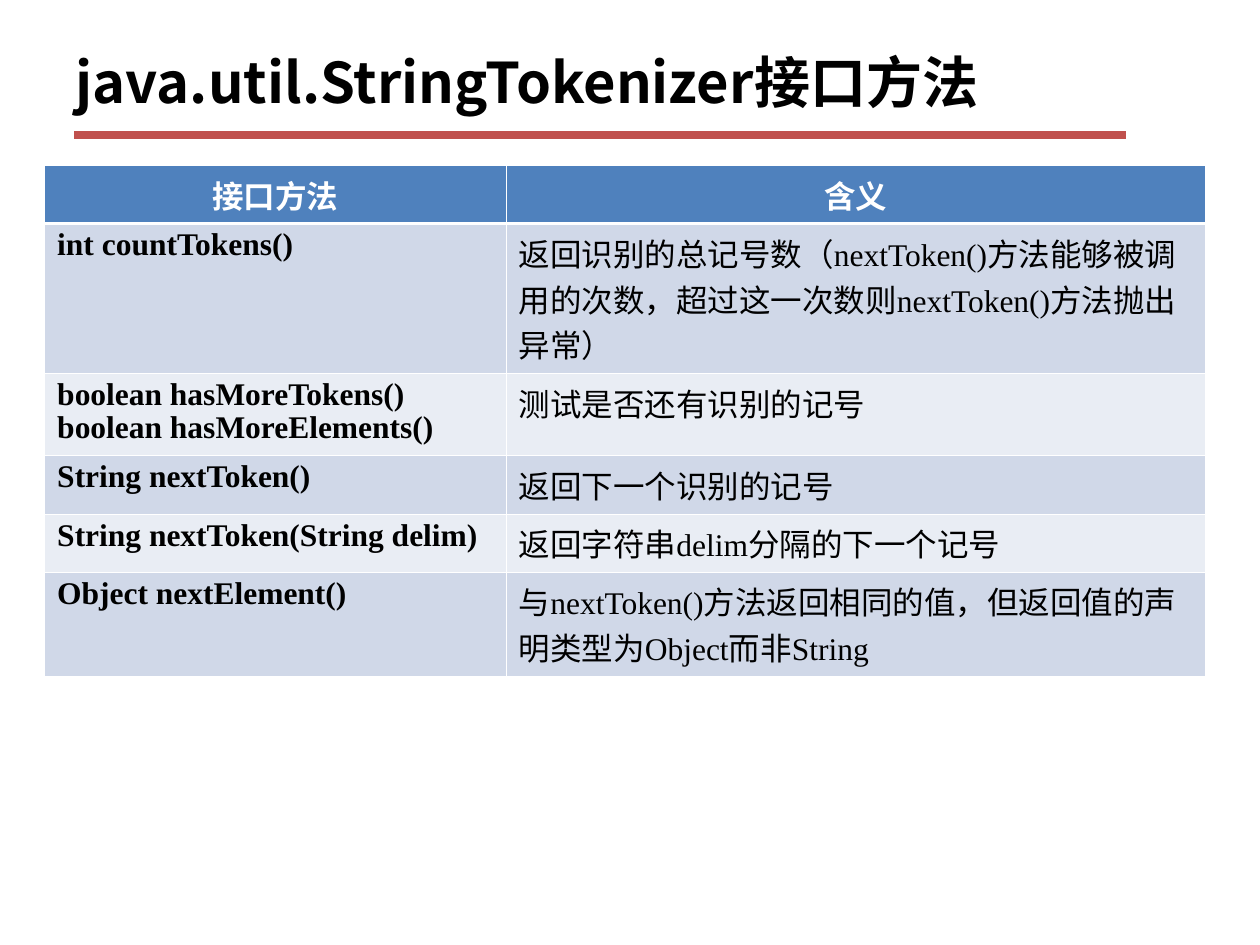
from lxml import etree
from pptx import Presentation
from pptx import util as u
from pptx.dml.color import RGBColor
from pptx.enum import shapes, text
from pptx.oxml import ns

BLACK, WHITE, RED, BLUE = "000000", "FFFFFF", "C0504D", "4F81BD"
BANDS = ("D0D8E8", "E9EDF4")
CJK_FONT, LATIN_FONT = "Noto Sans CJK SC", "Times New Roman"

HEADER = ("接口方法", "含义")
METHODS = [
    ("int countTokens()",
     "返回识别的总记号数（nextToken()方法能够被调用的次数，超过这一次数则nextToken()方法抛出异常）"),
    ("boolean hasMoreTokens()\nboolean hasMoreElements()", "测试是否还有识别的记号"),
    ("String nextToken()", "返回下一个识别的记号"),
    ("String nextToken(String delim)", "返回字符串delim分隔的下一个记号"),
    ("Object nextElement()",
     "与nextToken()方法返回相同的值，但返回值的声明类型为Object而非String"),
]
COLUMN_WIDTHS = (263.8, 399.3)
ROW_HEIGHTS = (33, 85.6, 47, 33.2, 33.2, 59)


def color(value):
    return RGBColor.from_string(value)


def write_text(frame, content, *, size, font=LATIN_FONT, fill=BLACK, bold=False,
               align=text.PP_ALIGN.LEFT, spacing=1.0):
    """Write one paragraph for each line of content."""
    for index, line in enumerate(content.split("\n")):
        paragraph = frame.add_paragraph() if index else frame.paragraphs[0]
        paragraph.alignment = align
        paragraph.line_spacing = spacing
        run = paragraph.add_run()
        run.text = line
        run.font.size = u.Pt(size)
        run.font.bold = bold
        run.font.color.rgb = color(fill)
        run.font.name = font
        properties = run._r.get_or_add_rPr()
        etree.SubElement(properties, ns.qn("a:ea"), typeface=CJK_FONT)


class SlideBuilder:
    """Holds the text sizes and the current slide."""
    title_size = 32
    table_size = 18
    thin, thick = 0.45, 1.47

    def __init__(self, slide):
        self.slide = slide

    def title(self, content, left, top, width, height):
        shape = self.slide.shapes.title
        shape.left, shape.top = u.Pt(left), u.Pt(top)
        shape.width, shape.height = u.Pt(width), u.Pt(height)
        shape.text_frame.vertical_anchor = text.MSO_ANCHOR.MIDDLE
        write_text(shape.text_frame, content, size=self.title_size,
                   font=CJK_FONT, bold=True)

    def rule(self, left, right, y, width, fill):
        line = self.slide.shapes.add_connector(
            shapes.MSO_CONNECTOR.STRAIGHT, u.Pt(left), u.Pt(y), u.Pt(right), u.Pt(y))
        line.line.width = u.Pt(width)
        line.line.color.rgb = color(fill)
        etree.SubElement(line._element.spPr, ns.qn("a:effectLst"))

    def borders(self, cell, top, bottom):
        properties = cell._tc.get_or_add_tcPr()
        sides = {"L": self.thin, "R": self.thin, "T": top, "B": bottom}
        for side, width in sides.items():
            line = etree.SubElement(properties, ns.qn(f"a:ln{side}"), w=str(u.Pt(width)))
            solid = etree.SubElement(line, ns.qn("a:solidFill"))
            etree.SubElement(solid, ns.qn("a:srgbClr"), val=WHITE)

    def table(self, rows, left, top, widths, heights):
        table = self.slide.shapes.add_table(
            len(rows), len(widths), u.Pt(left), u.Pt(top),
            u.Pt(sum(widths)), u.Pt(sum(heights))).table
        for column, width in zip(table.columns, widths):
            column.width = u.Pt(width)
        for row, height in zip(table.rows, heights):
            row.height = u.Pt(height)
        for r, row in enumerate(rows):
            header = r == 0
            for c, content in enumerate(row):
                cell = table.cell(r, c)
                # The header is set off by a thicker line below it
                self.borders(cell, self.thick if r == 1 else self.thin,
                             self.thick if header else self.thin)
                cell.fill.solid()
                cell.fill.fore_color.rgb = color(BLUE if header else BANDS[(r - 1) % 2])
                write_text(cell.text_frame, content, size=self.table_size,
                           fill=WHITE if header else BLACK,
                           bold=header or c == 0,
                           align=text.PP_ALIGN.CENTER if header else text.PP_ALIGN.LEFT,
                           spacing=0.93 if c == 0 and not header else 1.0)


def main():
    presentation = Presentation()
    presentation.slide_width, presentation.slide_height = u.Pt(720), u.Pt(540)
    title_only = presentation.slide_layouts[5]
    builder = SlideBuilder(presentation.slides.add_slide(title_only))

    # Heading with its red rule
    builder.title("java.util.StringTokenizer接口方法", 36, 15, 648, 63)
    builder.rule(42.5, 643.5, 77, 4.5, RED)

    # Methods and their meaning
    builder.table([HEADER, *METHODS], 25.5, 94.5, COLUMN_WIDTHS, ROW_HEIGHTS)

    presentation.save("out.pptx")


if __name__ == "__main__":
    main()
